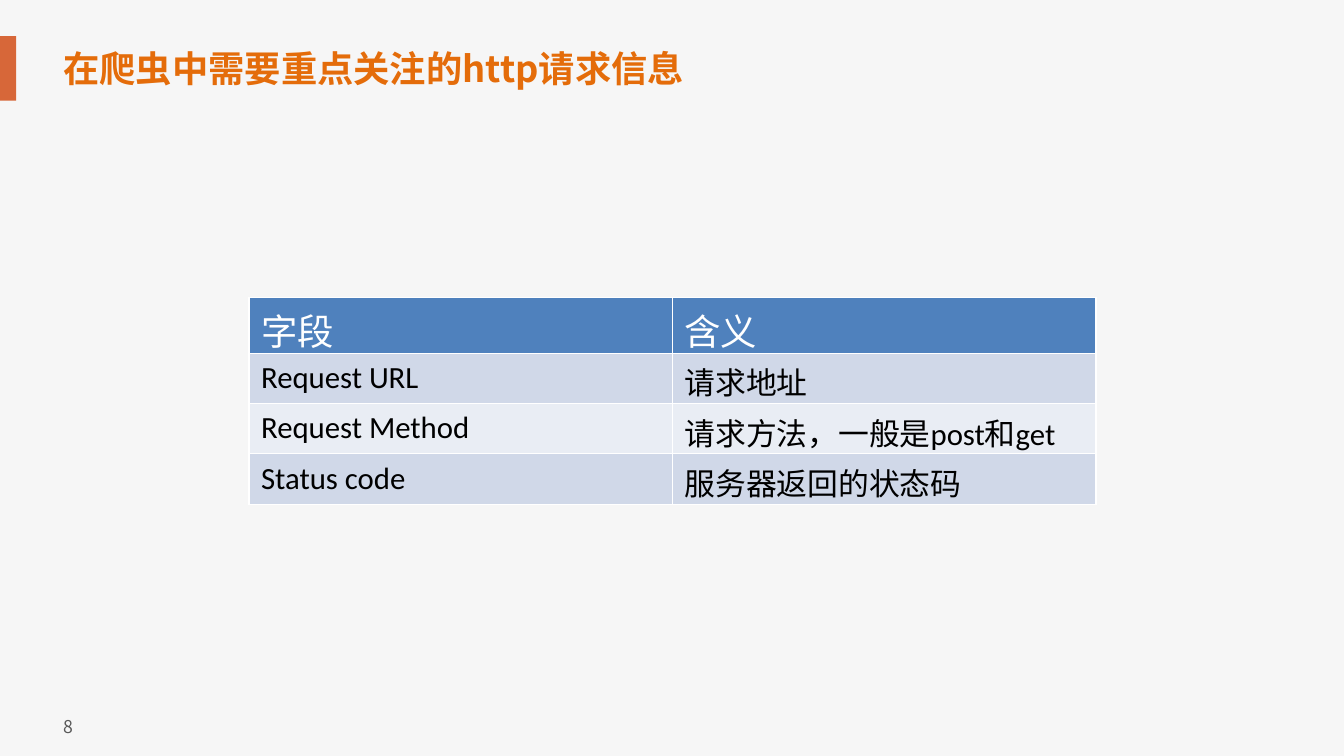
from lxml import etree
from pptx import Presentation
from pptx.dml.color import RGBColor
from pptx.enum.shapes import MSO_SHAPE
from pptx.enum.text import MSO_ANCHOR
from pptx.oxml.ns import qn
from pptx.util import Inches, Pt

RECTANGLE = MSO_SHAPE.RECTANGLE
TOP, MIDDLE = MSO_ANCHOR.TOP, MSO_ANCHOR.MIDDLE
LATIN_FONT, CHINESE_FONT = "Calibri", "Noto Sans CJK SC"

BACKGROUND = "F6F6F6"
ACCENT = "D76739"
TITLE_COLOR = "E46C0A"
NUMBER_COLOR = "595959"
WHITE, BLACK = "FFFFFF", "000000"
HEADER_FILL = "4F81BD"
BAND_FILLS = ("D0D8E8", "E9EDF4")

REQUEST_FIELDS = [
    ("字段", "含义"),
    ("Request URL", "请求地址"),
    ("Request Method", "请求方法，一般是post和get"),
    ("Status code", "服务器返回的状态码"),
]


def set_color(fill, color):
    fill.solid()
    fill.fore_color.rgb = RGBColor.from_string(color)


def add_run(paragraph, text, size, color, latin=CHINESE_FONT, bold=False):
    run = paragraph.add_run()
    run.text = text
    run.font.size = Pt(size)
    run.font.bold = bold
    run.font.name = latin
    set_color(run.font.fill, color)
    east_asian = etree.SubElement(run.font._element, qn("a:ea"))
    east_asian.set("typeface", CHINESE_FONT)


def add_text(slide, box, text, size, color, anchor=TOP, wrap=True, bold=False):
    shape = slide.shapes.add_textbox(*map(Inches, box))
    frame = shape.text_frame
    frame.word_wrap = wrap
    frame.vertical_anchor = anchor
    add_run(frame.paragraphs[0], text, size, color, bold=bold)


def add_title(slide, left, top, width, height):
    # Accent bar at the slide edge
    bar = slide.shapes.add_shape(
        RECTANGLE, Inches(0), Inches(top - 0.03), Inches(0.16), Inches(0.64))
    bar.shadow.inherit = False
    set_color(bar.fill, ACCENT)
    bar.line.fill.background()
    # Heading
    add_text(slide, (left, top, width, height), "在爬虫中需要重点关注的http请求信息",
             25.9, TITLE_COLOR, anchor=MIDDLE, bold=True)


def add_borders(cell, color, width):
    properties = cell._tc.get_or_add_tcPr()
    for side in ("L", "R", "T", "B"):
        line = etree.SubElement(properties, qn(f"a:ln{side}"), w=str(Pt(width)))
        fill = etree.SubElement(line, qn("a:solidFill"))
        etree.SubElement(fill, qn("a:srgbClr"), val=color)


def style_cell(cell, text, size, color, fill):
    cell.margin_left = cell.margin_right = Inches(0.12)
    cell.margin_top = cell.margin_bottom = Inches(0.06)
    add_borders(cell, WHITE, 1)
    set_color(cell.fill, fill)
    add_run(cell.text_frame.paragraphs[0], text, size, color, latin=LATIN_FONT)


def add_field_table(slide, left, top, width, height, header_height=0.55):
    row_count, column_count = len(REQUEST_FIELDS), len(REQUEST_FIELDS[0])
    table = slide.shapes.add_table(
        row_count, column_count,
        Inches(left), Inches(top), Inches(width), Inches(height)).table
    body_height = (height - header_height) / (row_count - 1)
    for row_index, texts in enumerate(REQUEST_FIELDS):
        is_header = row_index == 0
        table.rows[row_index].height = Inches(header_height if is_header else body_height)
        if is_header:
            style = (26, WHITE, HEADER_FILL)
        else:
            style = (22, BLACK, BAND_FILLS[(row_index - 1) % 2])
        for column_index, text in enumerate(texts):
            style_cell(table.cell(row_index, column_index), text, *style)


def main():
    presentation = Presentation()
    presentation.slide_width = Inches(13.33)
    presentation.slide_height = Inches(7.5)
    slide = presentation.slides.add_slide(presentation.slide_layouts[6])
    set_color(slide.background.fill, BACKGROUND)

    add_title(slide, 0.53, 0.39, 9.36, 0.57)
    add_field_table(slide, 2.47, 2.95, 8.4, 2.05)
    # Slide number
    add_text(slide, (0.53, 7.05, 0.44, 0.31), "8", 12.6, NUMBER_COLOR, wrap=False)

    presentation.save("out.pptx")


if __name__ == "__main__":
    main()
